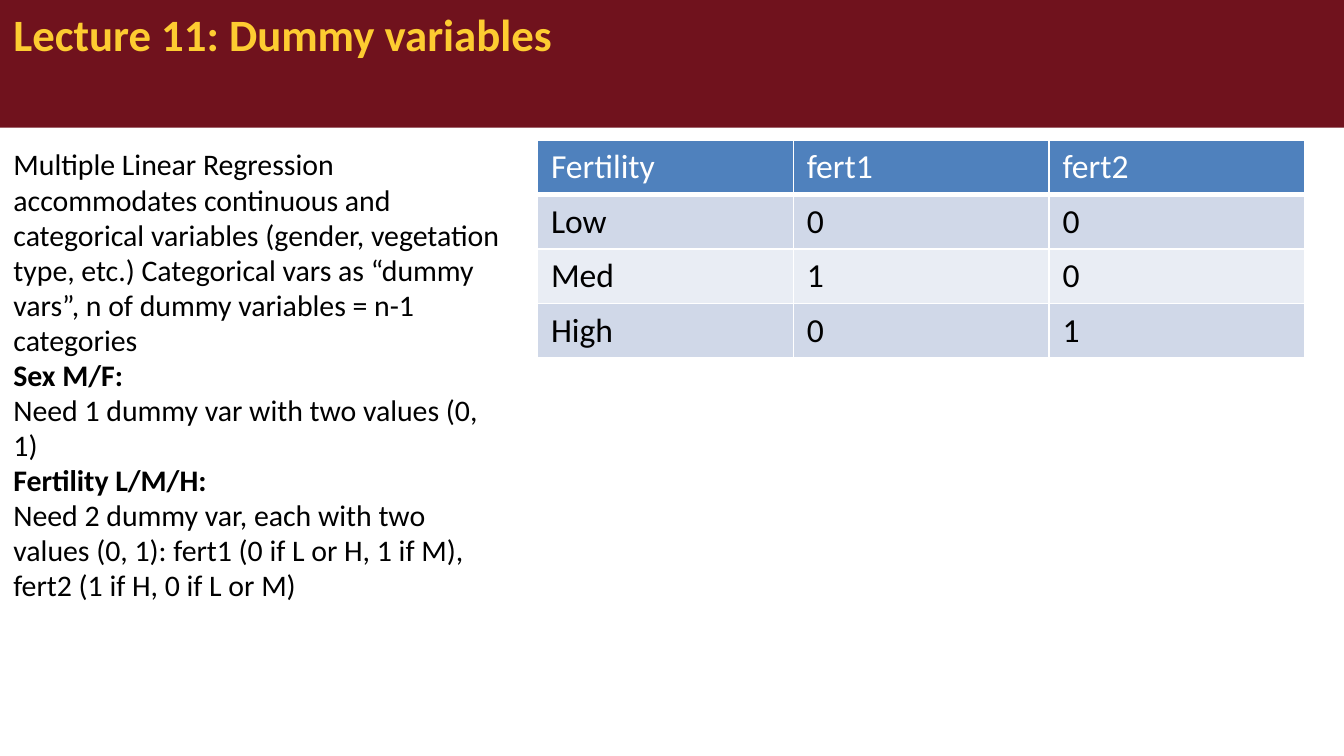
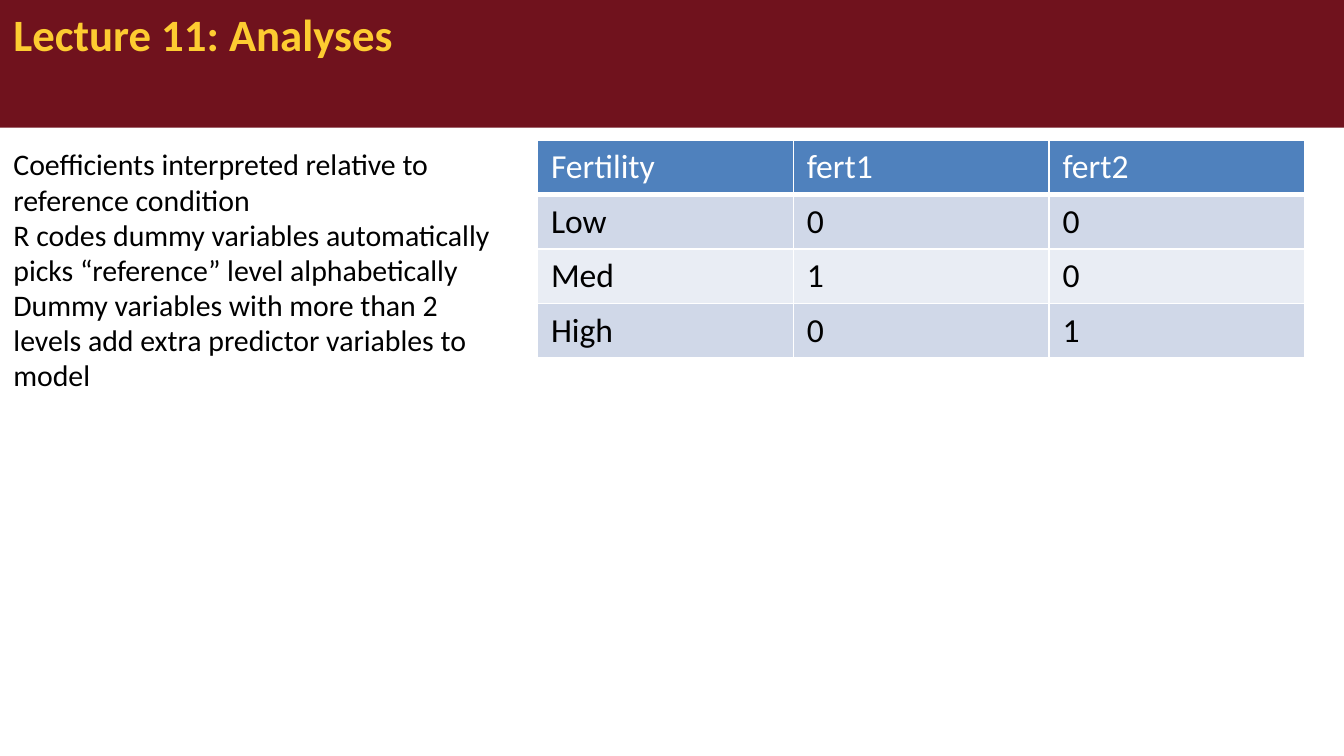
import pptx
import pptx.dml.color
import pptx.enum.text
import pptx.oxml
import pptx.oxml.ns
import pptx.util
from pptx.util import Pt

RGBColor = pptx.dml.color.RGBColor
MAROON = RGBColor(0x70, 0x12, 0x1D)
GOLD = RGBColor(0xFD, 0xCC, 0x31)
BLACK = RGBColor(0, 0, 0)
WHITE = RGBColor(0xFF, 0xFF, 0xFF)
HEADER_BLUE = RGBColor(0x4F, 0x81, 0xBD)
ROW_BANDS = [RGBColor(0xE9, 0xED, 0xF4), RGBColor(0xD0, 0xD8, 0xE8)]
FONT = "Calibri"

DUMMY_CODING = [
    ("Fertility", "fert1", "fert2"),
    ("Low", "0", "0"),
    ("Med", "1", "0"),
    ("High", "0", "1"),
]

# Each slide: title, then body paragraphs as (text, bold)
LECTURE_SLIDES = [
    ("Lecture 11: Dummy variables", [
        ("Multiple Linear Regression accommodates continuous and categorical variables "
         "(gender, vegetation type, etc.) Categorical vars as “dummy vars”, "
         "n of dummy variables = n-1 categories", False),
        ("Sex M/F:", True),
        ("Need 1 dummy var with two values (0, 1)", False),
        ("Fertility L/M/H:", True),
        ("Need 2 dummy var, each with two values (0, 1): fert1 (0 if L or H, 1 if M), "
         "fert2 (1 if H, 0 if L or M)", False),
    ]),
    ("Lecture 11: Analyses", [
        ("Coefficients interpreted relative to reference condition", False),
        ("R codes dummy variables automatically", False),
        ("picks “reference” level alphabetically", False),
        ("Dummy variables with more than 2 levels add extra predictor variables to model", False),
    ]),
]


def style_paragraph(paragraph, size, color, bold=False):
    paragraph.alignment = pptx.enum.text.PP_ALIGN.LEFT
    paragraph.font.name = FONT
    paragraph.font.size = Pt(size)
    paragraph.font.bold = bold
    paragraph.font.color.rgb = color


def place_placeholder(shape, left, top, width, height):
    """Move a placeholder and start its text at the top, at a fixed size."""
    shape.left, shape.top, shape.width, shape.height = Pt(left), Pt(top), Pt(width), Pt(height)
    frame = shape.text_frame
    frame.word_wrap = True
    frame.auto_size = pptx.enum.text.MSO_AUTO_SIZE.NONE
    frame.vertical_anchor = pptx.enum.text.MSO_ANCHOR.TOP


presentation = pptx.Presentation()
presentation.slide_width = Pt(720)
presentation.slide_height = Pt(405)
layout = presentation.slide_layouts.get_by_name("Title and Content")

for title_text, body_paragraphs in LECTURE_SLIDES:
    slide = presentation.slides.add_slide(layout)

    title = slide.shapes.title
    place_placeholder(title, 0, 0, 720, 68.4)
    title.fill.solid()
    title.fill.fore_color.rgb = MAROON
    title.text_frame.text = title_text
    style_paragraph(title.text_frame.paragraphs[0], 24, GOLD, bold=True)

    body = slide.placeholders[1]
    place_placeholder(body, 0, 75.6, 278.6, 277.2)
    body.text_frame.text = "\n".join(text for text, bold in body_paragraphs)
    for paragraph, (text, bold) in zip(body.text_frame.paragraphs, body_paragraphs):
        style_paragraph(paragraph, 16, BLACK, bold)
        paragraph.space_before = Pt(0)
        paragraph.line_spacing = 0.98
        properties = paragraph._p.get_or_add_pPr()
        properties.set("marL", "0")
        properties.set("indent", "0")
        properties.append(pptx.oxml.parse_xml(
            f'<a:buNone {pptx.oxml.ns.nsdecls("a")}/>'))

    row_height = 29.15
    table = slide.shapes.add_table(
        len(DUMMY_CODING), len(DUMMY_CODING[0]),
        Pt(288), Pt(75), Pt(411), Pt(row_height * len(DUMMY_CODING))).table
    for row_index, values in enumerate(DUMMY_CODING):
        is_header = row_index == 0
        for column_index, value in enumerate(values):
            cell = table.cell(row_index, column_index)
            cell.text = value
            style_paragraph(cell.text_frame.paragraphs[0], 18, WHITE if is_header else BLACK)
            for side in "LRTB":
                width = Pt(3 if is_header and side == "B" else 1)
                cell._tc.get_or_add_tcPr().append(pptx.oxml.parse_xml(
                    f'<a:ln{side} {pptx.oxml.ns.nsdecls("a")} w="{width}"><a:solidFill>'
                    f'<a:srgbClr val="{WHITE}"/></a:solidFill></a:ln{side}>'))
            cell.fill.solid()
            cell.fill.fore_color.rgb = HEADER_BLUE if is_header else ROW_BANDS[row_index % 2]

presentation.save("out.pptx")
